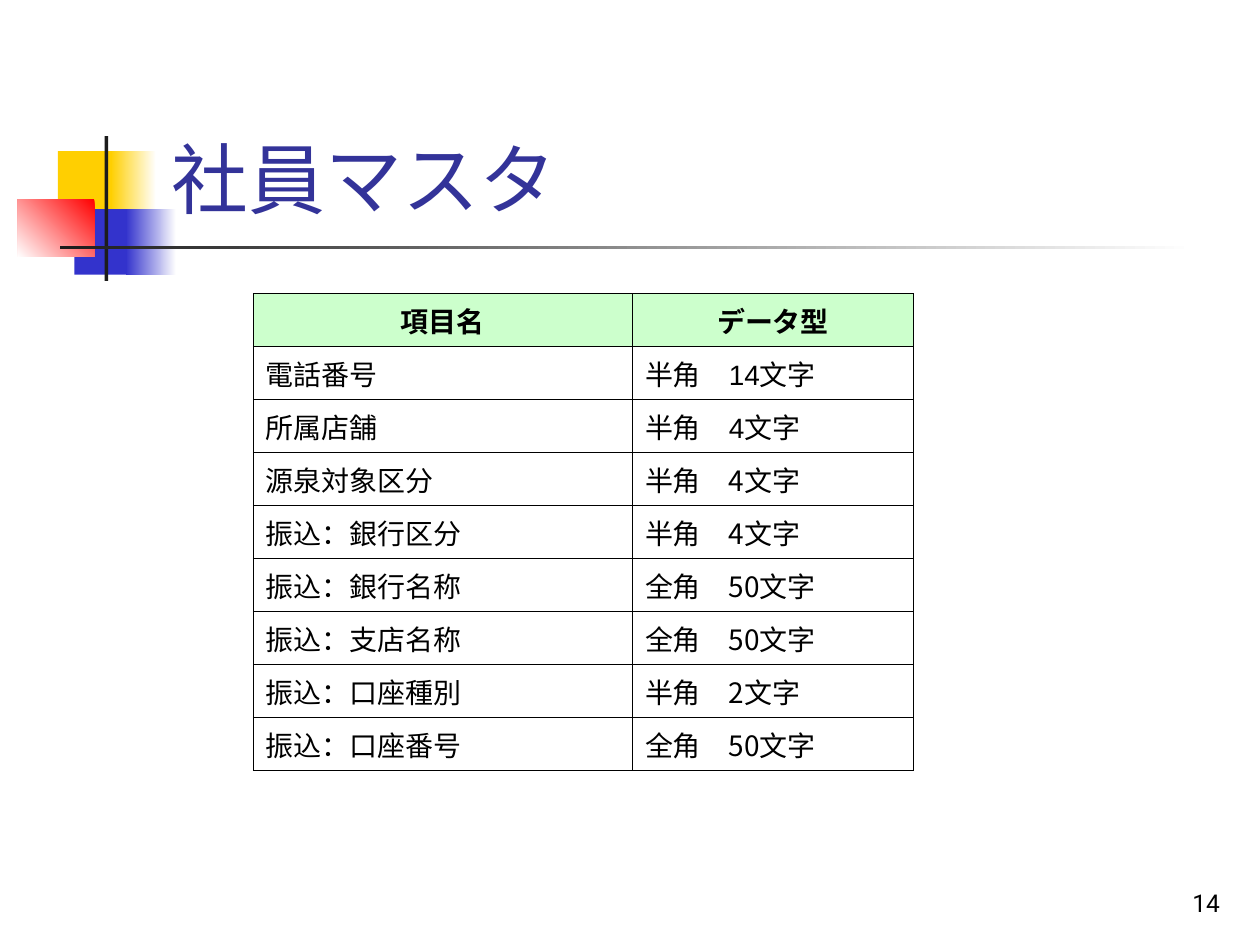
from dataclasses import dataclass

from lxml import etree
from pptx import Presentation
from pptx.dml.color import RGBColor as Rgb
from pptx.enum.shapes import MSO_SHAPE as Shape
from pptx.enum.text import MSO_ANCHOR as Anchor, MSO_AUTO_SIZE as AutoSize, PP_ALIGN as Align
from pptx.oxml.ns import qn
from pptx.util import Inches, Pt


@dataclass(frozen=True)
class Theme:
    latin: str = "Roboto"
    cell_latin: str = "Arial"
    asian: str = "Noto Sans CJK JP"
    title_size: int = 44
    cell_size: int = 16
    number_size: int = 14
    border_width: float = 0.45
    title: str = "333399"
    text: str = "000000"
    header: str = "CCFFCC"
    white: str = "FFFFFF"
    yellow: str = "FFCF01"
    blue: str = "3333CC"
    red: str = "FF0000"
    dark: str = "1C1C1C"


theme = Theme()


def write_text(frame, text, size, color=theme.text, font=theme.latin, bold=False,
               align=Align.LEFT):
    para = frame.paragraphs[0]
    para.alignment = align
    span = para.add_run()
    span.text = text
    span.font.size = Pt(size)
    span.font.bold = bold
    span.font.name = font
    span.font.color.rgb = Rgb.from_string(color)
    asian = etree.SubElement(span.font._element, qn("a:ea"))
    asian.set("typeface", theme.asian)


def draw_border(cell):
    properties = cell._tc.get_or_add_tcPr()
    for position, side in enumerate(("lnL", "lnR", "lnT", "lnB")):
        line = etree.Element(qn(f"a:{side}"), w=str(Pt(theme.border_width)))
        fill = etree.SubElement(line, qn("a:solidFill"))
        etree.SubElement(fill, qn("a:srgbClr"), val=theme.text)
        properties.insert(position, line)


deck = Presentation()
deck.slide_width, deck.slide_height = Inches(10), Inches(7.5)
page = deck.slides.add_slide(deck.slide_layouts[5])

# Title ornament: left, top, width, height, colours, clockwise gradient angle
ornament = [
    (0.46, 1.2, 0.48, 0.52, [theme.yellow], None),
    (0.88, 1.2, 0.36, 0.52, [theme.white, theme.yellow], 180),
    (0.59, 1.66, 0.46, 0.52, [theme.blue], None),
    (1, 1.66, 0.4, 0.52, [theme.white, theme.blue], 180),
    (0.14, 1.58, 0.61, 0.46, [theme.red, theme.white], 135),
    (0.83, 1.08, 0.03, 1.15, [theme.dark], None),
    (0.48, 1.95, 9, 0.03, [theme.white, theme.dark], 180),
]
for *bounds, colors, angle in ornament:
    block = page.shapes.add_shape(Shape.RECTANGLE, *map(Inches, bounds))
    block.shadow.inherit = False
    block.line.fill.background()
    if angle is None:
        block.fill.solid()
        block.fill.fore_color.rgb = Rgb.from_string(colors[0])
    else:
        block.fill.gradient()
        block.fill.gradient_angle = 360 - angle
        for stop, color in zip(block.fill.gradient_stops, colors):
            stop.color.rgb = Rgb.from_string(color)

# Title
title = page.shapes.title
title.left, title.top = Inches(1.26), Inches(0.23)
title.width, title.height = Inches(8.52), Inches(1.6)
title.text_frame.auto_size = AutoSize.NONE
title.text_frame.vertical_anchor = Anchor.BOTTOM
write_text(title.text_frame, "社員マスタ", theme.title_size, color=theme.title)

# Field table
rows = [
    ("項目名", "データ型"),
    ("電話番号", "半角　14文字"),
    ("所属店舗", "半角　4文字"),
    ("源泉対象区分", "半角　4文字"),
    ("振込：銀行区分", "半角　4文字"),
    ("振込：銀行名称", "全角　50文字"),
    ("振込：支店名称", "全角　50文字"),
    ("振込：口座種別", "半角　2文字"),
    ("振込：口座番号", "全角　50文字"),
]
column_widths = [3.01, 2.23]
row_height = 0.42
arial_rows = (1, 2)
table = page.shapes.add_table(
    len(rows), len(column_widths), Inches(2.01), Inches(2.33),
    Inches(sum(column_widths)), Inches(row_height * len(rows))).table
for column, width in zip(table.columns, column_widths):
    column.width = Inches(width)
for row_index, values in enumerate(rows):
    table.rows[row_index].height = Inches(row_height)
    is_header = row_index == 0
    for column_index, value in enumerate(values):
        cell = table.cell(row_index, column_index)
        cell.vertical_anchor = Anchor.MIDDLE
        if is_header:
            cell.fill.solid()
            cell.fill.fore_color.rgb = Rgb.from_string(theme.header)
        else:
            cell.fill.background()
        draw_border(cell)
        write_text(cell.text_frame, value, theme.cell_size, bold=is_header,
                   font=theme.cell_latin if row_index in arial_rows else theme.asian,
                   align=Align.CENTER if is_header else Align.LEFT)

# Page number
number_box = page.shapes.add_textbox(Inches(7.7), Inches(6.83), Inches(2.08), Inches(0.5))
number_box.text_frame.word_wrap = True
number_box.text_frame.vertical_anchor = Anchor.BOTTOM
write_text(number_box.text_frame, "14", theme.number_size, align=Align.RIGHT)

deck.save("out.pptx")
